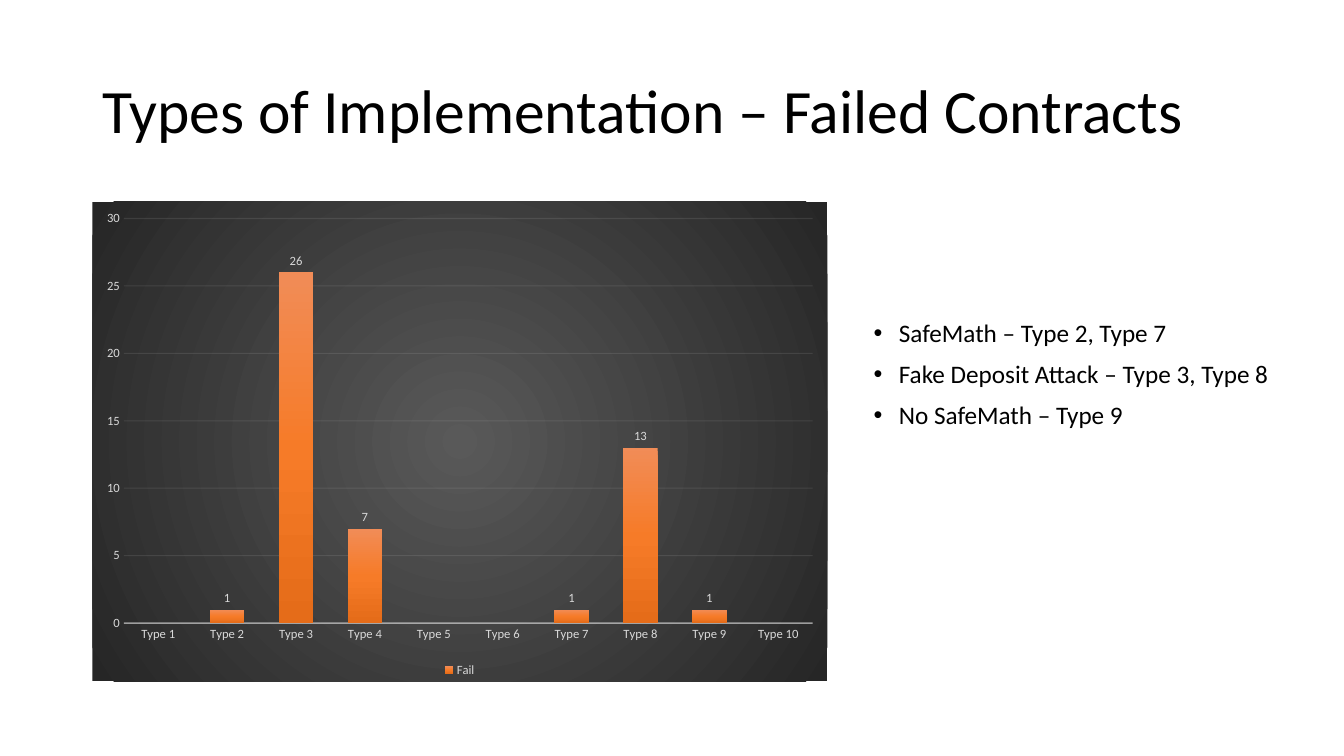
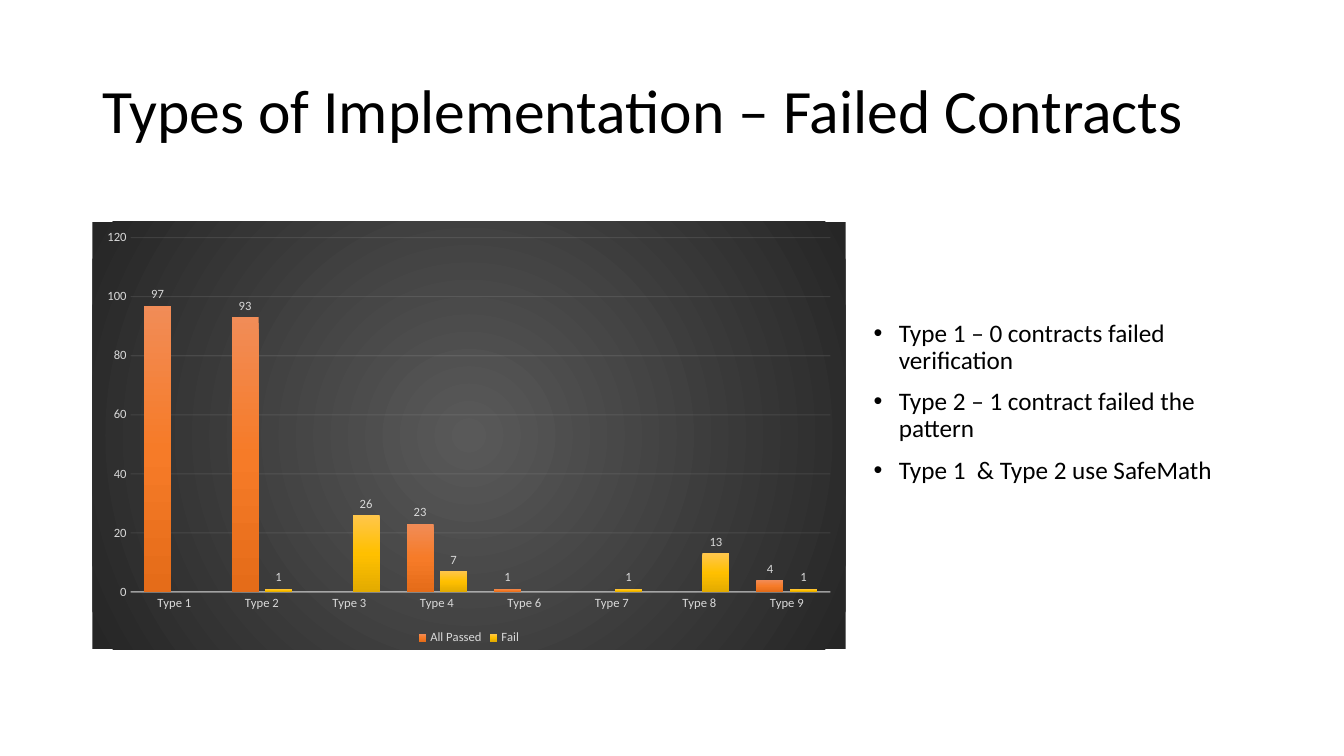
from dataclasses import dataclass

from lxml.etree import SubElement
from pptx import Presentation
from pptx.chart.axis import CategoryAxis, ValueAxis
from pptx.chart.chart import Chart
from pptx.chart.data import CategoryChartData
from pptx.dml.color import RGBColor
from pptx.dml.line import LineFormat
from pptx.enum.chart import XL_CHART_TYPE, XL_LABEL_POSITION, XL_LEGEND_POSITION, XL_TICK_MARK
from pptx.enum.text import MSO_ANCHOR
from pptx.oxml.ns import qn
from pptx.oxml.xmlchemy import BaseOxmlElement
from pptx.slide import Slide
from pptx.text.text import Font, TextFrame
from pptx.util import Pt

Stops = tuple[tuple[int, str], ...]


@dataclass(frozen=True)
class Box:
    left: float
    top: float
    width: float
    height: float

    def lengths(self) -> tuple[Pt, Pt, Pt, Pt]:
        return Pt(self.left), Pt(self.top), Pt(self.width), Pt(self.height)


@dataclass(frozen=True)
class Theme:
    font: str = "Calibri"
    ink: str = "000000"
    chart_ink: str = "D9D9D9"
    rule: str = "F2F2F2"
    title_size: int = 44
    bullet_size: int = 18
    chart_size: int = 9
    backdrop: Stops = ((0, "595959"), (100, "262626"))
    orange: Stops = ((0, "F18C57"), (50, "F67B28"), (100, "E56C19"))
    gold: Stops = ((0, "FFC64B"), (50, "FFC000"), (100, "E3AB00"))


@dataclass(frozen=True)
class Outcome:
    name: str
    counts: tuple[int | None, ...]
    gradient: Stops


@dataclass(frozen=True)
class ContractSlide:
    chart_box: Box
    type_numbers: tuple[int, ...]
    outcomes: tuple[Outcome, ...]
    axis_maximum: int
    axis_step: int
    findings: tuple[str, ...]


THEME = Theme()
TITLE = "Types of Implementation – Failed Contracts"
TITLE_BOX = Box(66, 28.75, 828, 104.4)
FINDINGS_BOX = Box(617, 225.4, 299.5, 141.8)
BULLET_INDENT = 18

CONTRACT_SLIDES = (
    ContractSlide(
        Box(66, 144, 525, 342.7),
        tuple(range(1, 11)),
        (Outcome("Fail", (None, 1, 26, 7, None, None, 1, 13, 1, None), THEME.orange),),
        30,
        5,
        (
            "SafeMath – Type 2, Type 7",
            "Fake Deposit Attack – Type 3, Type 8",
            "No SafeMath – Type 9",
        ),
    ),
    ContractSlide(
        Box(66, 158.4, 538, 305.3),
        (1, 2, 3, 4, 6, 7, 8, 9),
        (
            Outcome("All Passed", (97, 93, None, 23, 1, None, None, 4), THEME.orange),
            Outcome("Fail", (None, 1, 26, 7, None, 1, 13, 1), THEME.gold),
        ),
        120,
        20,
        (
            "Type 1 – 0 contracts failed verification",
            "Type 2 – 1 contract failed the pattern",
            "Type 1  & Type 2 use SafeMath",
        ),
    ),
)


def style_font(font: Font, size: int, color: str) -> None:
    font.name = THEME.font
    font.size = Pt(size)
    font.color.rgb = RGBColor.from_string(color)


def add_gradient(properties: BaseOxmlElement, stops: Stops, radial: bool = False) -> None:
    gradient = SubElement(properties, qn("a:gradFill"), rotWithShape="1")
    stop_list = SubElement(gradient, qn("a:gsLst"))
    for percent, color in stops:
        stop = SubElement(stop_list, qn("a:gs"), pos=str(percent * 1000))
        SubElement(stop, qn("a:srgbClr"), val=color)
    if radial:
        circle = SubElement(gradient, qn("a:path"))
        circle.set("path", "circle")
        SubElement(circle, qn("a:fillToRect"), l="50000", t="50000", r="50000", b="50000")
    else:
        SubElement(gradient, qn("a:lin"), ang="5400000", scaled="0")


def style_line(line: LineFormat, width: float, opacity: int) -> None:
    line.width = Pt(width)
    line.color.rgb = RGBColor.from_string(THEME.rule)
    color = line._get_or_add_ln().find(".//" + qn("a:srgbClr"))
    SubElement(color, qn("a:alpha"), val=str(opacity * 1000))


def add_text_frame(slide: Slide, box: Box) -> TextFrame:
    frame = slide.shapes.add_textbox(*box.lengths()).text_frame
    frame.word_wrap = True
    return frame


def add_title(slide: Slide) -> None:
    frame = add_text_frame(slide, TITLE_BOX)
    frame.vertical_anchor = MSO_ANCHOR.MIDDLE
    heading = frame.paragraphs[0]
    heading.text = TITLE
    heading.line_spacing = 0.9
    style_font(heading.font, THEME.title_size, THEME.ink)


def add_findings(slide: Slide, findings: tuple[str, ...]) -> None:
    frame = add_text_frame(slide, FINDINGS_BOX)
    for index, finding in enumerate(findings):
        paragraph = frame.add_paragraph() if index else frame.paragraphs[0]
        paragraph.text = finding
        paragraph.line_spacing = 0.9
        paragraph.space_before = Pt(10)
        style_font(paragraph.font, THEME.bullet_size, THEME.ink)
        properties = paragraph._p.get_or_add_pPr()
        properties.set("marL", str(Pt(BULLET_INDENT)))
        properties.set("indent", str(-Pt(BULLET_INDENT)))
        bullet_font = properties.makeelement(qn("a:buFont"), {"typeface": "Arial"})
        bullet = properties.makeelement(qn("a:buChar"), {"char": "•"})
        properties.find(qn("a:defRPr")).addprevious(bullet_font)
        bullet_font.addnext(bullet)


def style_axis(axis: CategoryAxis | ValueAxis) -> None:
    axis.major_tick_mark = XL_TICK_MARK.NONE
    axis.minor_tick_mark = XL_TICK_MARK.NONE
    style_font(axis.tick_labels.font, THEME.chart_size, THEME.chart_ink)


def style_axes(chart: Chart, maximum: int, step: int) -> None:
    types, counts = chart.category_axis, chart.value_axis
    style_axis(types)
    style_axis(counts)
    style_line(types.format.line, 1, 54)
    counts.minimum_scale = 0
    counts.maximum_scale = maximum
    counts.major_unit = step
    counts.format.line.fill.background()
    counts.has_major_gridlines = True
    style_line(counts.major_gridlines.format.line, 0.75, 10)


def add_backdrop(chart: Chart) -> None:
    space = chart._chartSpace
    properties = space.makeelement(qn("c:spPr"), {})
    space.find(qn("c:chart")).addnext(properties)
    add_gradient(properties, THEME.backdrop, radial=True)
    outline = SubElement(properties, qn("a:ln"))
    SubElement(outline, qn("a:noFill"))


def add_contract_chart(slide: Slide, content: ContractSlide) -> None:
    contracts = CategoryChartData()
    contracts.categories = [f"Type {number}" for number in content.type_numbers]
    for outcome in content.outcomes:
        contracts.add_series(outcome.name, outcome.counts)
    chart = slide.shapes.add_chart(
        XL_CHART_TYPE.COLUMN_CLUSTERED, *content.chart_box.lengths(), contracts
    ).chart
    chart.has_title = False
    style_font(chart.font, THEME.chart_size, THEME.chart_ink)
    add_backdrop(chart)
    style_axes(chart, content.axis_maximum, content.axis_step)

    chart.has_legend = True
    chart.legend.position = XL_LEGEND_POSITION.BOTTOM
    chart.legend.include_in_layout = False
    style_font(chart.legend.font, THEME.chart_size, THEME.chart_ink)

    plot = chart.plots[0]
    plot.gap_width = 100
    plot.overlap = -24
    plot.vary_by_categories = False
    for series, outcome in zip(plot.series, content.outcomes):
        add_gradient(series._element.get_or_add_spPr(), outcome.gradient)
        labels = series.data_labels
        labels.show_value = True
        labels.position = XL_LABEL_POSITION.OUTSIDE_END
        style_font(labels.font, THEME.chart_size, THEME.chart_ink)


def main() -> None:
    deck = Presentation()
    deck.slide_width, deck.slide_height = Pt(960), Pt(540)
    blank = deck.slide_layouts[6]
    for content in CONTRACT_SLIDES:
        slide = deck.slides.add_slide(blank)
        add_title(slide)
        add_contract_chart(slide, content)
        add_findings(slide, content.findings)
    deck.save("out.pptx")


if __name__ == "__main__":
    main()
